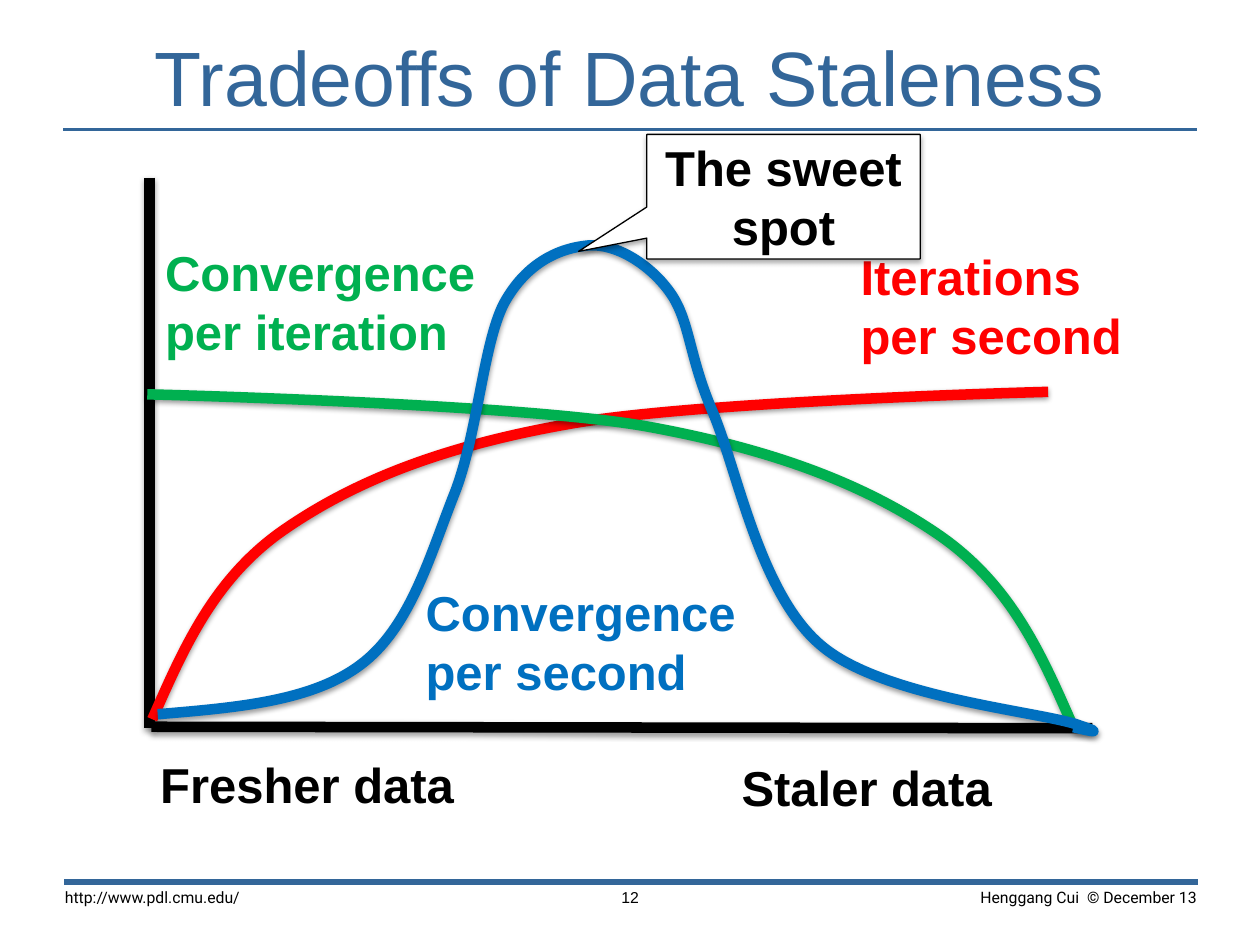
"""Build the slide on the tradeoffs of data staleness."""
from dataclasses import dataclass

from lxml.etree import SubElement
from pptx import Presentation
from pptx.dml.color import RGBColor as RGB
from pptx.enum.shapes import MSO_CONNECTOR as CONN, MSO_SHAPE as SHAPE
from pptx.enum.text import MSO_ANCHOR as ANCHOR, MSO_AUTO_SIZE as FIT, PP_ALIGN as ALIGN
from pptx.oxml.ns import qn
from pptx.util import Cm, Pt


@dataclass(frozen=True)
class Theme:
    """Colours, fonts and type sizes."""
    accent: str = "336699"
    ink: str = "000000"
    paper: str = "FFFFFF"
    red: str = "FF0000"
    green: str = "00B050"
    blue: str = "0070C0"
    font: str = "Arial"
    footer_font: str = "Roboto"
    title: int = 44
    label: int = 28
    footer: int = 9
    stroke: float = 6


T = Theme()

ITERATIONS = [
    (3.07, 14.5), (3.68, 13.13), (4.27, 11.73), (5.64, 10.74),
    (7.04, 9.75), (8.81, 9.02), (11.4, 8.56),
    (14, 8.08), (21.13, 7.9), (21.13, 7.9)]
PER_ITERATION = [
    (21.59, 14.55), (20.98, 13.16), (20.37, 11.79), (18.95, 10.8),
    (17.5, 9.8), (15.67, 9.07), (13, 8.59),
    (10.34, 8.13), (2.97, 7.95), (2.97, 7.95)]
PER_SECOND = [
    (3.18, 14.4), (4.72, 14.27), (6.27, 14.15), (7.26, 13.41),
    (8.26, 12.67), (8.66, 11.23), (9.14, 10.01),
    (9.63, 8.81), (9.73, 6.96), (10.16, 6.12),
    (10.62, 5.28), (11.3, 5), (11.86, 4.95),
    (12.4, 4.9), (13.08, 5.31), (13.49, 5.87),
    (13.92, 6.45), (13.87, 7.16), (14.38, 8.33),
    (14.88, 9.53), (15.32, 11.96), (16.54, 13),
    (17.75, 14.05), (20.83, 14.33), (21.69, 14.6),
    (22.53, 14.88), (21.64, 14.66), (21.64, 14.66)]


def set_shadow(sp, alpha=0):
    """Give a shape a soft downward shadow, or none."""
    props = sp._element.spPr
    for old in props.findall(qn("a:effectLst")):
        props.remove(old)
    effects = SubElement(props, qn("a:effectLst"))
    if alpha:
        shadow = SubElement(effects, qn("a:outerShdw"), blurRad=str(Pt(3.1)),
                            dist=str(Pt(1.6)), dir="5400000", rotWithShape="0")
        color = SubElement(shadow, qn("a:srgbClr"), val=T.ink)
        SubElement(color, qn("a:alpha"), val=str(alpha * 1000))


def set_line(sp, color, width):
    """Set the colour and width of an outline."""
    sp.line.color.rgb = RGB.from_string(color)
    sp.line.width = Pt(width)


def write(sp, text, size, color, font=T.font, bold=False, align=ALIGN.LEFT):
    """Fill a shape with evenly formatted text."""
    tf = sp.text_frame
    tf.text = text
    for p in tf.paragraphs:
        p.alignment = align
        for r in p.runs:
            r.font.size, r.font.name, r.font.bold = Pt(size), font, bold
            r.font.color.rgb = RGB.from_string(color)
    return tf


def add_title(s, text):
    """Place the slide title."""
    sp = s.shapes.title
    sp.left, sp.top, sp.width, sp.height = Cm(0), Cm(0.58), Cm(25.4), Cm(1.9)
    tf = write(sp, text, T.title, T.accent, align=ALIGN.CENTER)
    tf.vertical_anchor = ANCHOR.MIDDLE


def add_line(s, x1, y1, x2, y2, color, width, shadow=0):
    """Draw a straight line."""
    sp = s.shapes.add_connector(CONN.STRAIGHT, Cm(x1), Cm(y1), Cm(x2), Cm(y2))
    set_line(sp, color, width)
    set_shadow(sp, shadow)


def bezier(points, steps=24):
    """Return points along a chain of cubic curves."""
    path = [points[0]]
    for i in range(0, len(points) - 1, 3):
        for k in range(1, steps + 1):
            t = k / steps
            u = 1 - t
            weights = (u ** 3, 3 * u * u * t, 3 * u * t * t, t ** 3)
            path.append(tuple(sum(w * p[axis] for w, p in zip(weights, points[i:i + 4]))
                              for axis in (0, 1)))
    return path


def add_curve(s, points, color):
    """Draw a thick open curve of cubic segments, framed by its true extent."""
    start, *rest = [(Cm(x), Cm(y)) for x, y in bezier(points)]
    builder = s.shapes.build_freeform(*start)
    builder.add_line_segments(rest, close=False)
    sp = builder.convert_to_shape()
    outline = next(sp._element.iter(qn("a:moveTo"))).getparent()
    for segment in outline.findall(qn("a:lnTo")):
        outline.remove(segment)
    for i in range(1, len(points), 3):
        cubic = SubElement(outline, qn("a:cubicBezTo"))
        for x, y in points[i:i + 3]:
            SubElement(cubic, qn("a:pt"), x=str(Cm(x) - sp.left), y=str(Cm(y) - sp.top))
    sp.fill.background()
    set_line(sp, color, T.stroke)
    set_shadow(sp, 38)


def add_label(s, x, y, w, h, text, color):
    """Add a bold chart label."""
    sp = s.shapes.add_textbox(Cm(x), Cm(y), Cm(w), Cm(h))
    tf = write(sp, text, T.label, color, bold=True)
    tf.word_wrap = False
    tf.auto_size = FIT.SHAPE_TO_FIT_TEXT


def add_footer(s, x, y, w, h, text, font, align):
    """Add a small footer text."""
    sp = s.shapes.add_textbox(Cm(x), Cm(y), Cm(w), Cm(h))
    tf = write(sp, text, T.footer, T.ink, font, align=align)
    tf.word_wrap = True
    tf.margin_left = tf.margin_right = Cm(0.28)
    tf.margin_top = tf.margin_bottom = Cm(0.15)


def add_callout(s, x, y, w, h, text):
    """Add a callout pointing at the peak."""
    sp = s.shapes.add_shape(SHAPE.RECTANGULAR_CALLOUT, Cm(x), Cm(y), Cm(w), Cm(h))
    sp.adjustments[0], sp.adjustments[1] = -0.75, 0.44
    sp.fill.solid()
    sp.fill.fore_color.rgb = RGB.from_string(T.paper)
    set_line(sp, T.ink, 0.75)
    set_shadow(sp, 35)
    tf = write(sp, text, T.label, T.ink, bold=True, align=ALIGN.CENTER)
    tf.word_wrap = True
    tf.vertical_anchor = ANCHOR.MIDDLE


def main():
    """Build and save the slide."""
    prs = Presentation()
    prs.slide_width, prs.slide_height = Cm(25.4), Cm(19.05)
    s = prs.slides.add_slide(prs.slide_layouts[5])
    add_line(s, 1.27, 2.61, 24.13, 2.61, T.accent, 2)
    add_line(s, 1.3, 17.78, 24.16, 17.78, T.accent, 3.5)
    add_title(s, "Tradeoffs of Data Staleness")
    add_footer(s, 17.95, 17.75, 6.45, 1.07, "Henggang Cui  © December 13",
               T.footer_font, ALIGN.RIGHT)
    add_footer(s, 1.03, 17.75, 6.35, 1.07, "http://www.pdl.cmu.edu/",
               T.footer_font, ALIGN.LEFT)
    add_footer(s, 10.23, 17.75, 4.95, 0.58, "12", T.font, ALIGN.CENTER)

    add_line(s, 3.01, 3.58, 3.01, 14.68, T.ink, T.stroke, 38)
    add_line(s, 22.02, 14.68, 3.05, 14.65, T.ink, T.stroke, 38)
    for points, color in ((ITERATIONS, T.red), (PER_ITERATION, T.green),
                          (PER_SECOND, T.blue)):
        add_curve(s, points, color)

    for label in (
            (2.98, 15.09, 6.5, 1.45, "Fresher data", T.ink),
            (14.7, 15.14, 5.61, 1.45, "Staler data", T.ink),
            (17.1, 4.85, 5.84, 2.64, "Iterations \nper second", T.red),
            (3.08, 4.76, 6.83, 2.64, "Convergence\nper iteration", T.green),
            (8.33, 11.62, 7.11, 2.64, "Convergence \nper second", T.blue)):
        add_label(s, *label)
    add_callout(s, 13.04, 2.71, 5.51, 2.51, "The sweet spot")
    prs.save("out.pptx")


main()
